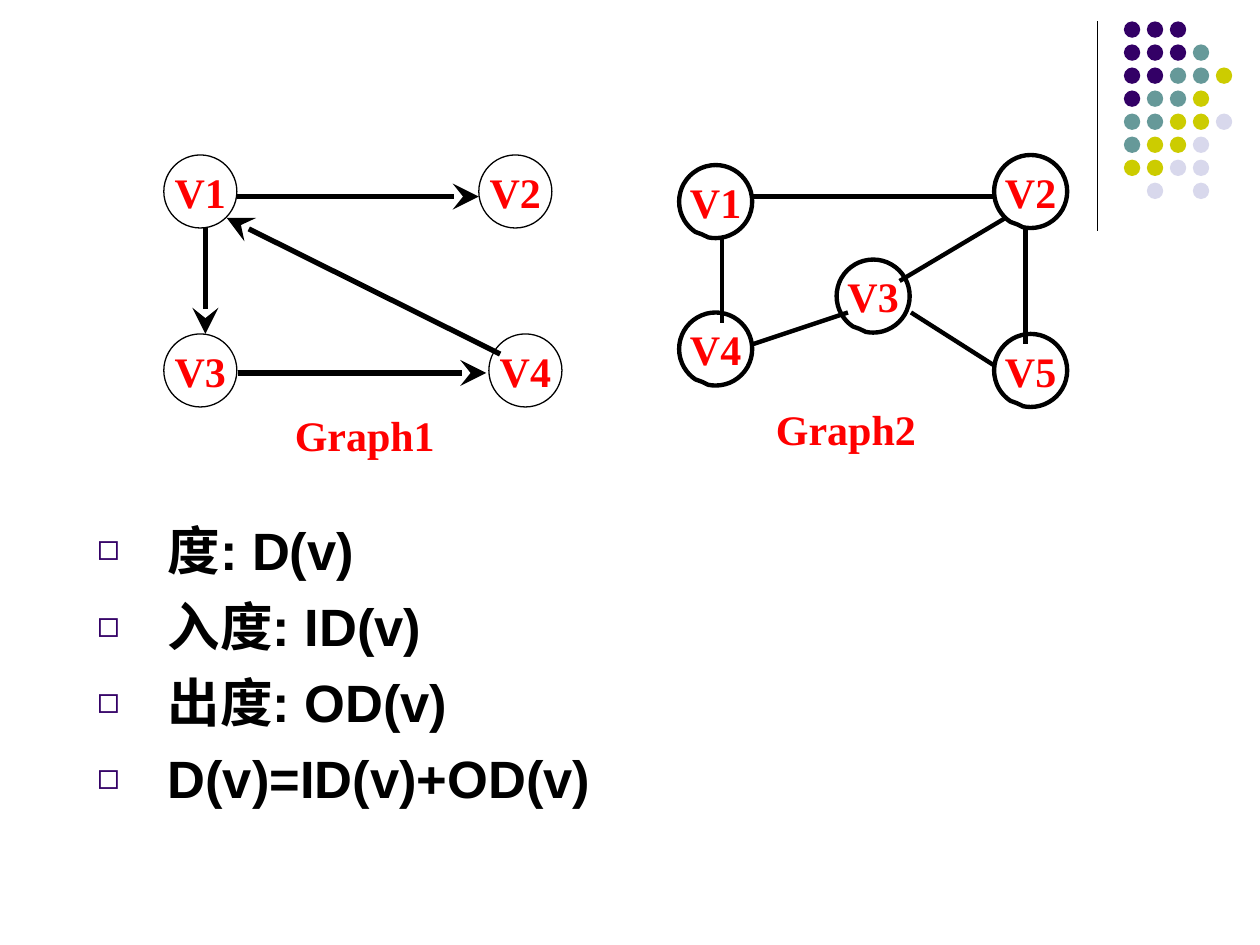
from lxml.etree import SubElement
from pptx import Presentation
from pptx.dml.color import RGBColor
from pptx.enum.shapes import MSO_CONNECTOR, MSO_SHAPE
from pptx.enum.text import MSO_ANCHOR, MSO_AUTO_SIZE, PP_ALIGN
from pptx.oxml.ns import qn
from pptx.util import Inches, Pt

COLORS = {
    "black": "000000", "red": "FF0000", "purple": "330066",
    "teal": "669999", "olive": "CCCC00", "lavender": "D8D8EC",
}
DOT_COLORS = {"p": "purple", "t": "teal", "o": "olive", "l": "lavender"}
DOT_ROWS = ["ppp", "pppt", "pptto", "ptto", "ttool", "tool", "ooll", " l l"]
NODE_SIZE = 0.58

DEGREES = ["度: D(v)", "入度: ID(v)", "出度: OD(v)", "D(v)=ID(v)+OD(v)"]

DIRECTED_NODES = {"V1": (1.3, 1.23), "V2": (3.8, 1.23),
                  "V3": (1.3, 2.65), "V4": (3.88, 2.65)}
DIRECTED_EDGES = [
    ((1.63, 1.81), (1.63, 2.65)), ((1.88, 1.56), (3.8, 1.56)),
    ((1.89, 2.96), (3.86, 2.96)), ((3.97, 2.81), (1.8, 1.73)),
]
UNDIRECTED_NODES = {"V1": (5.39, 1.31), "V2": (7.89, 1.23), "V3": (6.64, 2.06),
                    "V4": (5.39, 2.48), "V5": (7.89, 2.65)}
UNDIRECTED_EDGES = [
    ((5.73, 1.9), (5.73, 2.56)), ((5.98, 1.56), (7.89, 1.56)),
    ((8.14, 1.81), (8.14, 2.73)), ((7.89, 2.9), (7.23, 2.48)),
    ((7.98, 1.73), (7.14, 2.23)), ((6.73, 2.48), (5.98, 2.73)),
]


def color(name):
    return RGBColor.from_string(COLORS[name])


def write(para, text, font="Times New Roman", size=24, fill="red", align=None):
    para.alignment = align
    span = para.add_run()
    span.text = text
    span.font.name = font
    span.font.size = Pt(size)
    span.font.bold = True
    span.font.color.rgb = color(fill)


def add_line(page, start, end, width, arrow=False):
    line = page.shapes.add_connector(
        MSO_CONNECTOR.STRAIGHT, *(Inches(value) for value in start + end))
    line.line.color.rgb = color("black")
    line.line.width = Pt(width)
    if arrow:
        SubElement(line.line._get_or_add_ln(), qn("a:tailEnd"),
                   type="stealth", w="lg", len="lg")
    SubElement(line._element.spPr, qn("a:effectLst"))


def add_dots(page):
    for row, letters in enumerate(DOT_ROWS):
        for column, letter in enumerate(letters):
            if letter == " ":
                continue
            dot = page.shapes.add_shape(
                MSO_SHAPE.OVAL, Inches(8.92 + 0.73 / 4 * column),
                Inches(0.17 + 1.28 / 7 * row), Inches(0.13), Inches(0.13))
            dot.shadow.inherit = False
            dot.fill.solid()
            dot.fill.fore_color.rgb = color(DOT_COLORS[letter])
            dot.line.fill.background()


def add_node(page, label, position, shape_type, width):
    left, top = position
    node = page.shapes.add_shape(shape_type, Inches(left), Inches(top),
                                 Inches(NODE_SIZE), Inches(NODE_SIZE))
    if shape_type == MSO_SHAPE.OVAL_CALLOUT:
        node.adjustments[0] = -0.188
        node.adjustments[1] = 0.449
    node.shadow.inherit = False
    node.fill.background()
    node.line.color.rgb = color("black")
    node.line.width = Pt(width)
    frame = node.text_frame
    frame.word_wrap = False
    frame.vertical_anchor = MSO_ANCHOR.MIDDLE
    write(frame.paragraphs[0], label, align=PP_ALIGN.CENTER)


def add_graph(page, nodes, edges, shape_type, node_width, edge_width, arrow):
    for start, end in edges:
        add_line(page, start, end, edge_width, arrow)
    for label, position in nodes.items():
        add_node(page, label, position, shape_type, node_width)


def add_caption(page, text, left, top, width, align):
    box = page.shapes.add_textbox(Inches(left), Inches(top), Inches(width), Inches(0.5))
    box.text_frame.word_wrap = True
    write(box.text_frame.paragraphs[0], text, align=align)


def add_bullet(para):
    properties = para._p.get_or_add_pPr()
    properties.set("marL", str(Inches(0.56)))
    properties.set("indent", str(-Inches(0.56)))
    bullet_color = SubElement(properties, qn("a:buClr"))
    SubElement(bullet_color, qn("a:srgbClr"), val=COLORS["purple"])
    SubElement(properties, qn("a:buSzPct"), val="70000")
    SubElement(properties, qn("a:buChar"), char="◻")


def fill_body(body, lines):
    body.left, body.top = Inches(0.67), Inches(4.06)
    body.width, body.height = Inches(8.94), Inches(2.44)
    frame = body.text_frame
    frame.auto_size = MSO_AUTO_SIZE.NONE
    for index, text in enumerate(lines):
        para = frame.add_paragraph() if index else frame.paragraphs[0]
        add_bullet(para)
        para.space_before = Pt(7.5 if index else 0)
        write(para, text, font="Arial", size=30, fill="black")


def main():
    deck = Presentation()
    deck.slide_width, deck.slide_height = Inches(10), Inches(7.5)
    page = deck.slides.add_slide(deck.slide_layouts[1])
    title = page.shapes.title._element
    title.getparent().remove(title)

    # Corner decoration
    add_line(page, (8.71, 0.17), (8.71, 1.83), 0.75)
    add_dots(page)

    # Degree definitions
    fill_body(page.placeholders[1], DEGREES)

    # Undirected graph
    add_caption(page, "Graph2", 6.06, 3.15, 1.67, PP_ALIGN.LEFT)
    add_graph(page, UNDIRECTED_NODES, UNDIRECTED_EDGES,
              MSO_SHAPE.OVAL_CALLOUT, 2.5, 2.5, arrow=False)

    # Directed graph
    add_graph(page, DIRECTED_NODES, DIRECTED_EDGES,
              MSO_SHAPE.FLOWCHART_CONNECTOR, 0.75, 3, arrow=True)
    add_caption(page, "Graph1", 2.24, 3.2, 1.31, PP_ALIGN.CENTER)

    deck.save("out.pptx")


if __name__ == "__main__":
    main()
